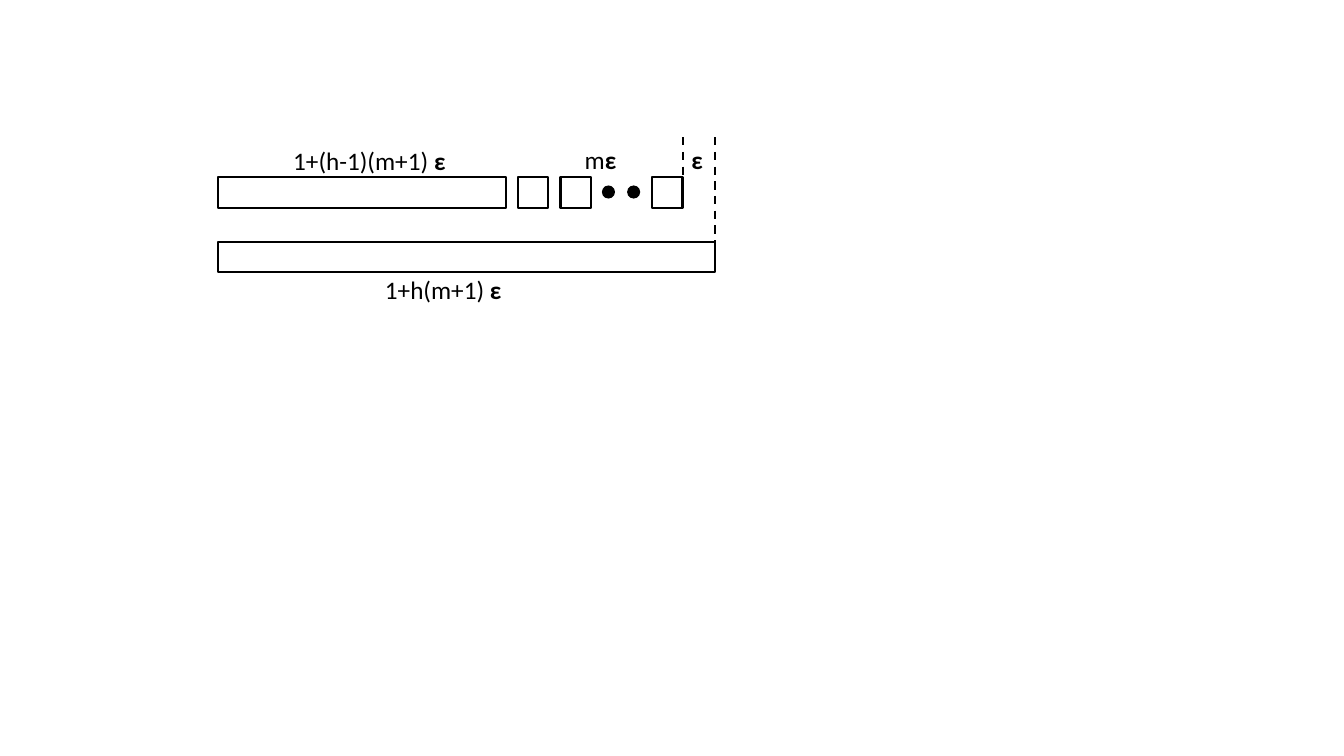
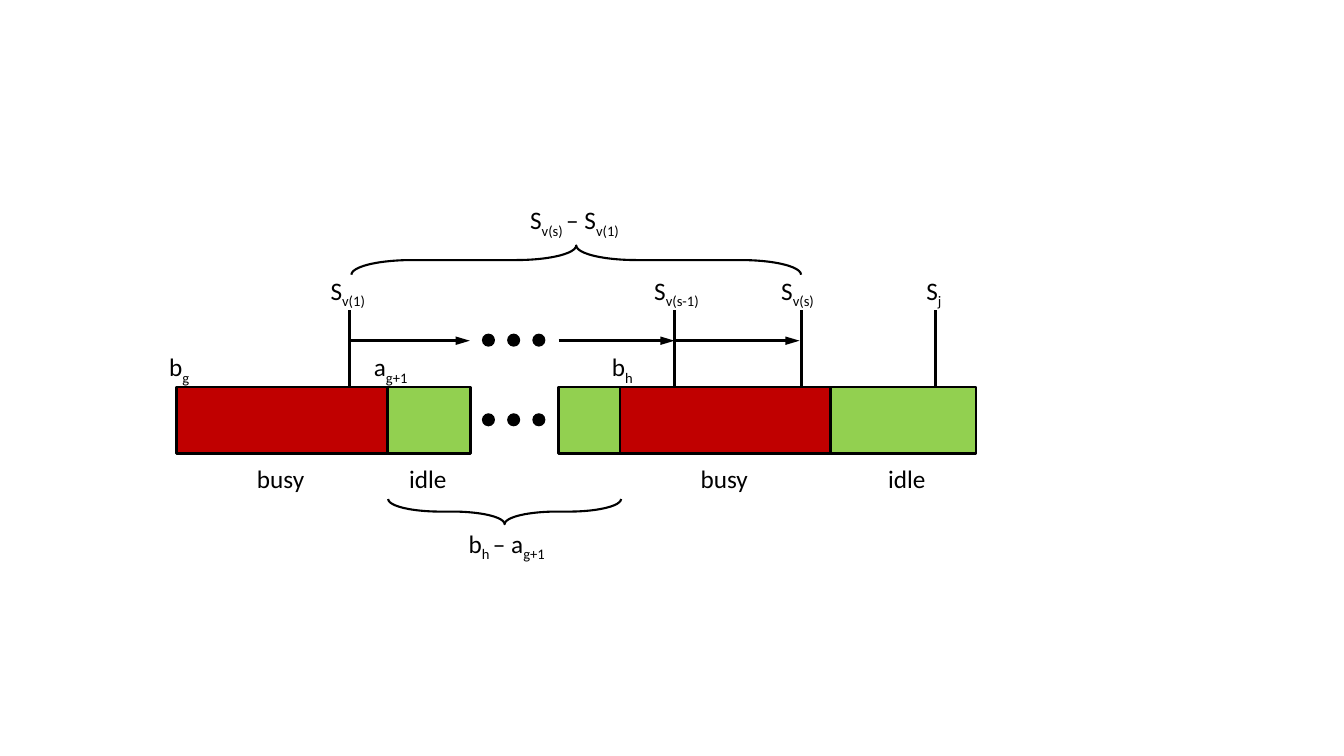
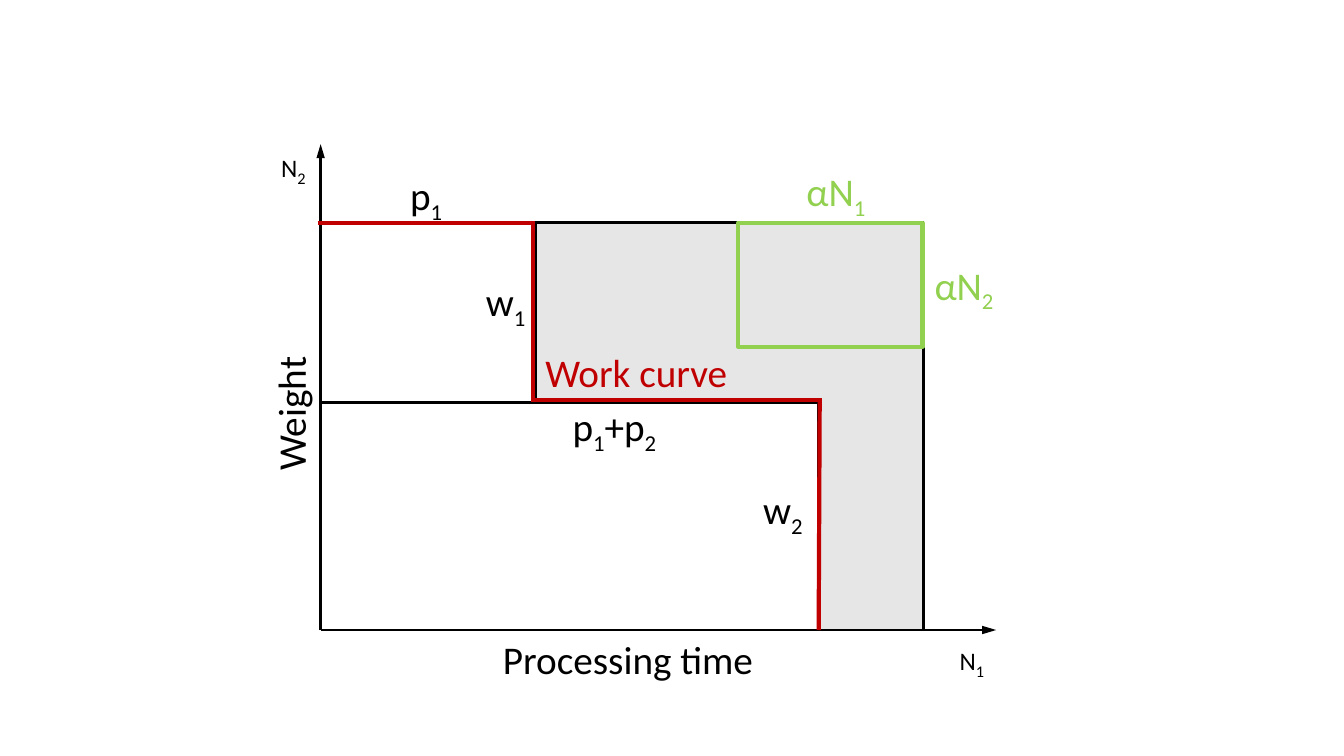
from lxml import etree
from pptx import Presentation
from pptx.dml.color import RGBColor
from pptx.enum.dml import MSO_LINE
from pptx.enum.shapes import MSO_CONNECTOR, MSO_SHAPE
from pptx.enum.text import MSO_AUTO_SIZE
from pptx.oxml.ns import qn
from pptx.util import Inches, Pt

RECT, OVAL, BRACE = MSO_SHAPE.RECTANGLE, MSO_SHAPE.OVAL, MSO_SHAPE.LEFT_BRACE
STRAIGHT, DASH = MSO_CONNECTOR.STRAIGHT, MSO_LINE.DASH
FIT = MSO_AUTO_SIZE.SHAPE_TO_FIT_TEXT
BLACK, RED, GREEN, GREY = "000000", "C00000", "92D050", "E7E6E6"
FONT = "Calibri"
DOT = 0.13


def color(code):
    """Turn a hex string into a colour."""
    return RGBColor.from_string(code)


class Deck:
    """Holds the presentation, its style and the current slide."""

    def __init__(self):
        """Start an empty wide presentation."""
        self.prs = Presentation()
        self.prs.slide_width, self.prs.slide_height = Inches(13.33), Inches(7.5)
        self.slide = None

    def page(self):
        """Add a blank slide and make it current."""
        self.slide = self.prs.slides.add_slide(self.prs.slide_layouts[6])

    def shape(self, kind, x, y, w, h, fill=None, line=None, width=2):
        """Draw a preset shape, filled or outlined."""
        item = self.slide.shapes.add_shape(
            kind, Inches(x), Inches(y), Inches(w), Inches(h))
        item.shadow.inherit = False
        if fill:
            item.fill.solid()
            item.fill.fore_color.rgb = color(fill)
        else:
            item.fill.background()
        if line:
            item.line.color.rgb = color(line)
            item.line.width = Pt(width)
        else:
            item.line.fill.background()
        return item

    def dots(self, x, y, count):
        """Draw a row of evenly spaced dots."""
        for i in range(count):
            self.shape(OVAL, x + 0.25 * i, y, DOT, DOT, BLACK)

    def brace(self, x, y, w, h, turn):
        """Draw a brace turned to lie flat; w and h are its unturned size."""
        item = self.shape(BRACE, x, y, w, h, None, BLACK, 1.5)
        item.rotation = turn
        item.adjustments[0] = 2.056

    def line(self, x1, y1, x2, y2, ink=BLACK, width=2, dash=False, arrow=False):
        """Draw a straight line, dashed or with an arrowhead at its end."""
        item = self.slide.shapes.add_connector(
            STRAIGHT, Inches(x1), Inches(y1), Inches(x2), Inches(y2))
        item.line.color.rgb = color(ink)
        item.line.width = Pt(width)
        if dash:
            item.line.dash_style = DASH
        if arrow:
            etree.SubElement(item.line._get_or_add_ln(), qn("a:tailEnd"),
                             type="triangle", w="med", len="lg")
        etree.SubElement(item._element.spPr, qn("a:effectLst"))

    def text(self, x, y, w, words, size=18, ink=BLACK, bold=False,
             sub=None, turn=0):
        """Write a label; every second part split by | is bold or lowered."""
        box = self.slide.shapes.add_textbox(
            Inches(x), Inches(y), Inches(w), Inches(0.57 if size > 18 else 0.4))
        box.rotation = turn
        frame = box.text_frame
        frame.word_wrap = False
        frame.auto_size = FIT
        para = frame.paragraphs[0]
        para.font.name, para.font.size = FONT, Pt(size)
        para.font.color.rgb = color(ink)
        for i, part in enumerate(words.split("|")):
            if not part:
                continue
            run = para.add_run()
            run.text = part
            if i % 2 and bold:
                run.font.bold = True
            elif i % 2:
                run._r.get_or_add_rPr().set("baseline", "-25000")
                if sub:
                    run.font.size = Pt(sub)


def jobs(deck):
    """Compare a row of split jobs with one long job."""
    deck.page()
    left, top, side, end = 2.16, 1.76, 0.3, 7.09
    bars = [(left, top, 2.86), (left, 2.4, end - left)]
    bars += [(x, top, side) for x in (5.14, 5.56, 6.47)]
    for x, y, w in bars:
        deck.shape(RECT, x, y, w, side, None, BLACK, 1.5)
    deck.dots(5.97, 1.84, 2)
    for x, low in ((6.77, 1.9), (end, 2.6)):
        deck.line(x, 1.36, x, low, width=1.5, dash=True)
    for x, y, w, words in (
            (2.81, 1.39, 1.72, "1+(h-1)(m+1)| ε"),
            (3.72, 2.67, 1.37, "1+h(m+1)| ε"),
            (5.7, 1.38, 0.52, "m|ε"),
            (6.76, 1.38, 0.31, "|ε")):
        deck.text(x, y, w, words, bold=True)


def times(deck):
    """Show busy and idle spans on a time bar."""
    deck.page()
    top, high, flow = 3.84, 0.66, 3.38
    for x, w, fill in ((1.75, 2.09, RED), (3.84, 0.83, GREEN),
                       (6.15, 2.09, RED), (8.24, 1.44, GREEN),
                       (5.54, 0.61, GREEN)):
        deck.shape(RECT, x, top, w, high, fill, BLACK)
    for x in (3.47, 6.69, 7.95, 9.28):
        deck.line(x, 3.08, x, top)
    for start, end in ((3.47, 4.66), (5.54, 6.69), (6.69, 7.93)):
        deck.line(start, flow, end, flow, arrow=True)
    for y in (3.31, 4.1):
        deck.dots(4.78, y, 3)
    deck.brace(5.57, 0.35, 0.29, 4.46, 90)
    deck.brace(4.88, 3.92, 0.25, 2.31, 270)
    rows = (
        (1.98, ((5.16, 1.16, "S|v(s) |– S|v(1)"),)),
        (2.68, ((3.18, 0.58, "S|v(1)"), (6.39, 0.7, "S|v(s-1)"),
                (7.65, 0.56, "S|v(s)"), (9.09, 0.36, "S|j"))),
        (3.44, ((1.58, 0.41, "b|g"), (3.61, 0.57, "a|g+1"),
                (5.97, 0.42, "b|h"))),
        (4.55, ((2.45, 0.68, "busy"), (3.96, 0.58, "idle"),
                (6.85, 0.68, "busy"), (8.71, 0.58, "idle"))),
        (5.19, ((4.55, 1.02, "b|h |– a|g+1"),)))
    for y, row in rows:
        for x, w, words in row:
            deck.text(x, y, w, words)


def curve(deck):
    """Plot the work curve of weight against processing time."""
    deck.page()
    left, right, top, base = 3.18, 9.16, 2.21, 6.25
    first, second, step = 5.31, 8.12, 3.99
    deck.shape(RECT, first, top, right - first, step - top, GREY)
    deck.shape(RECT, 8.14, 2.6, right - 8.14, 3.66, GREY)
    deck.line(left, base, left, 1.43, arrow=True)
    deck.line(left, base, 9.88, base, arrow=True)
    for ends in ((left, top, right, top), (right, base, right, top),
                 (first, step, first, top), (second, step, left, step),
                 (second, step, second, base)):
        deck.line(*ends)
    for ends in ((3.15, top, first, top), (5.29, top, 5.29, step),
                 (5.28, 3.97, 8.11, 3.97), (8.13, 3.95, 8.12, base)):
        deck.line(*ends, RED, 3)
    deck.shape(RECT, 7.32, top, 1.83, 1.23, None, GREEN, 3)
    deck.text(2.21, 3.81, 1.34, "Weight", 28, turn=270)
    deck.text(9.42, 6.32, 0.46, "N|1", sub=20)
    deck.text(2.69, 1.43, 0.46, "N|2", sub=20)
    for x, y, w, words, ink in (
            (4.89, 6.25, 2.71, "Processing time", BLACK),
            (5.31, 3.41, 2.03, "Work curve", RED),
            (3.97, 1.65, 0.54, "p|1", BLACK),
            (4.72, 2.7, 0.62, "w|1", BLACK),
            (5.58, 3.94, 1.08, "p|1|+p|2", BLACK),
            (7.47, 4.77, 0.62, "w|2", BLACK),
            (7.9, 1.61, 0.81, "αN|1", GREEN),
            (9.17, 2.54, 0.81, "αN|2", GREEN)):
        deck.text(x, y, w, words, 28, ink)


deck = Deck()
for draw in (jobs, times, curve):
    draw(deck)
deck.prs.save("out.pptx")
